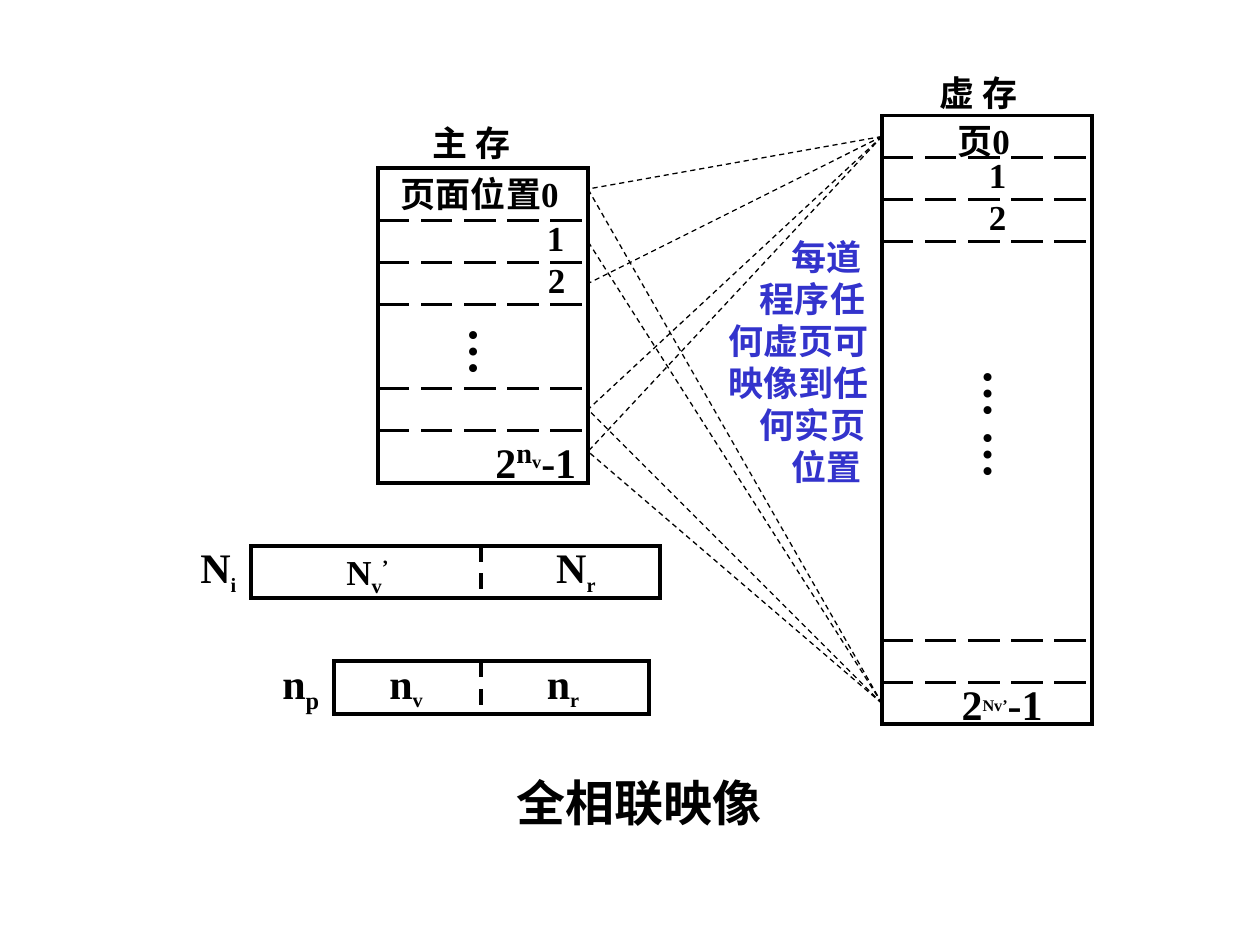
"""Draw the fully associative mapping between virtual and main memory."""
import pptx
import pptx.dml.color
import pptx.enum.dml
import pptx.enum.shapes
import pptx.enum.text
import pptx.oxml.ns
import pptx.util

COLORS = {"ink": "000000", "paper": "FFFFFF", "note": "3333CC"}
FONT = "Times New Roman"
DASH = pptx.enum.dml.MSO_LINE

deck = pptx.Presentation()
deck.slide_width = pptx.util.Inches(10)
deck.slide_height = pptx.util.Inches(7.5)
page = deck.slides.add_slide(deck.slide_layouts[6])
column = deck.slide_width / 120
row = deck.slide_height / 90
ink = pptx.dml.color.RGBColor.from_string(COLORS["ink"])
paper = pptx.dml.color.RGBColor.from_string(COLORS["paper"])


def add_line(left, top, right, bottom, weight, dash):
    line = page.shapes.add_connector(
        pptx.enum.shapes.MSO_CONNECTOR.STRAIGHT,
        int(left * column), int(top * row), int(right * column), int(bottom * row))
    line.line.color.rgb = ink
    line.line.width = pptx.util.Pt(weight)
    line.line.dash_style = dash
    properties = line._element.spPr
    properties.append(properties.makeelement(pptx.oxml.ns.qn("a:effectLst"), {}))


def add_text(place, paragraphs, color="ink", wrap=False, vertical=False):
    left, top, width, height = place
    box = page.shapes.add_textbox(
        int(left * column), int(top * row), int(width * column), int(height * row))
    frame = box.text_frame
    frame.word_wrap = wrap
    frame.auto_size = pptx.enum.text.MSO_AUTO_SIZE.SHAPE_TO_FIT_TEXT
    if vertical:
        frame._txBody.bodyPr.set("vert", "eaVert")
    for number, (indent, runs) in enumerate(paragraphs):
        para = frame.add_paragraph() if number else frame.paragraphs[0]
        if indent:
            para._p.get_or_add_pPr().set("marL", str(int(indent * column)))
        for text, size, baseline in runs:
            span = para.add_run()
            span.text = text
            span.font.size = pptx.util.Pt(size)
            span.font.bold = True
            span.font.name = FONT
            span.font.color.rgb = pptx.dml.color.RGBColor.from_string(COLORS[color])
            if baseline:
                span.font._element.set("baseline", str(baseline * 1000))


main_memory = (36, 16, 20, 30)
virtual_memory = (84, 11, 20, 58)
virtual_address = (23.9, 52, 39, 5)
real_address = (31.8, 63, 30, 5)
for left, top, width, height in (main_memory, virtual_memory, virtual_address, real_address):
    box = page.shapes.add_shape(
        pptx.enum.shapes.MSO_SHAPE.RECTANGLE,
        int(left * column), int(top * row), int(width * column), int(height * row))
    box.shadow.inherit = False
    box.fill.solid()
    box.fill.fore_color.rgb = paper
    box.line.color.rgb = ink
    box.line.width = pptx.util.Pt(2.25)
    outline = box._element.spPr.find(pptx.oxml.ns.qn("a:ln"))
    outline.append(outline.makeelement(pptx.oxml.ns.qn("a:miter"), {"lim": "800000"}))

for memory, borders in ((main_memory, (21, 25, 29, 37, 41)),
                        (virtual_memory, (15, 19, 23, 61, 65))):
    for border in borders:
        add_line(memory[0], border, memory[0] + memory[2], border, 2.25, DASH.LONG_DASH)

for address in (virtual_address, real_address):
    add_line(45.8, address[1], 45.8, address[1] + address[3], 2.25, DASH.DASH)

for virtual_row, real_rows in ((13, (18, 27, 39, 43)), (67, (18, 23, 39, 43))):
    for real_row in real_rows:
        add_line(84, virtual_row, 56, real_row, 0.75, DASH.DASH)

wrapped_labels = [
    ((40, 11, 15.2, 5.2), "主 存", 20),
    ((88.3, 6.2, 13.2, 5.2), "虚 存", 20),
    ((37, 15.8, 22.1, 5.2), "页面位置0", 20),
    ((90, 10.8, 14.4, 5.2), "页0", 20),
    ((93, 14, 6.7, 5.2), "1", 20),
    ((93, 18, 3.1, 5.2), "2", 20),
    ((48, 73, 37.6, 6.8), "全相联映像", 28),
]
for place, text, size in wrapped_labels:
    add_text(place, [(0, [(text, size, 0)])], wrap=True)

formulas = [
    ((50.9, 20, 4.1, 5.2), [("1", 20, 0)]),
    ((51, 24, 4.1, 5.2), [("2", 20, 0)]),
    ((46, 40.3, 10.6, 6), [("2", 24, 0), ("n", 28, 30), ("v", 18, 30), ("-1", 24, 0)]),
    ((90.4, 64, 10.6, 6), [("2", 24, 0), ("Nv’", 16, 30), ("-1", 24, 0)]),
    ((35.9, 62, 5.8, 6), [("n", 24, 0), ("v", 20, -25)]),
    ((50.9, 62, 5.6, 8.6), [("n", 24, 0), ("r", 20, -25)]),
    ((51.8, 51, 6.2, 6), [("N", 24, 0), ("r", 20, -25)]),
    ((31.8, 51.8, 6.6, 5.2), [("N", 20, 0), ("v", 20, -25), ("’", 20, 30)]),
    ((25.7, 62, 6.1, 6), [("n", 24, 0), ("p", 24, -25)]),
    ((17.9, 51, 5.9, 6), [("N", 24, 0), ("i", 20, -25)]),
]
for place, runs in formulas:
    add_text(place, [(0, runs)])

for place, dots in (((42, 30, 8, 5.9), "…"), ((91, 34, 8, 11.8), "… …")):
    add_text(place, [(0, [(dots, 28, 0)])], vertical=True)

note_lines = ["每道", "程序任", "何虚页可", "映像到任", "何实页", "位置"]
add_text((68.2, 21.8, 16.8, 25.2),
         [(3 * (4 - len(text)), [(text, 20, 0)]) for text in note_lines],
         color="note", wrap=True)

deck.save("out.pptx")
